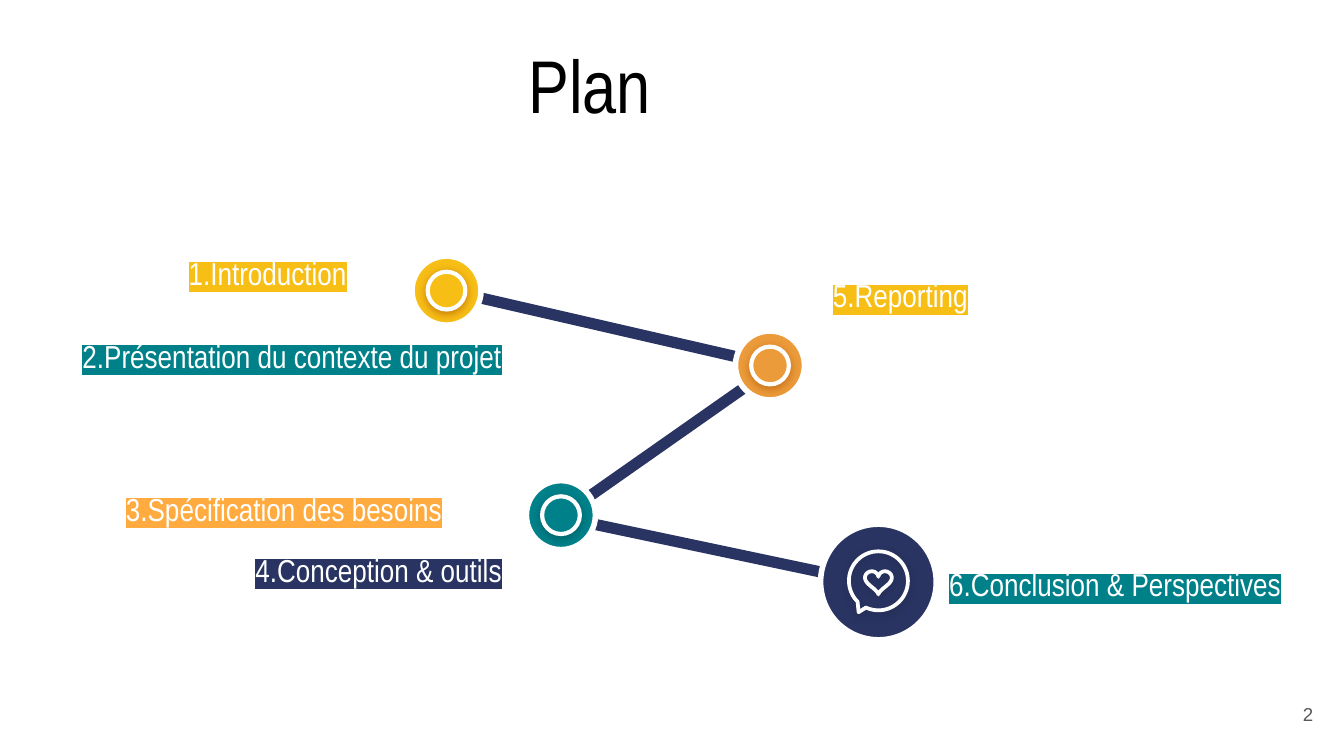
from dataclasses import dataclass
from math import cos, radians, sin

from lxml.etree import SubElement
from pptx import Presentation
from pptx.dml.color import RGBColor
from pptx.enum.shapes import MSO_SHAPE
from pptx.enum.text import MSO_ANCHOR, PP_ALIGN
from pptx.oxml.ns import qn
from pptx.util import Pt


@dataclass(frozen=True)
class Theme:
    white: str = "FFFFFF"
    black: str = "000000"
    grey: str = "595959"
    navy: str = "293462"
    teal: str = "00818A"
    dark_teal: str = "00565C"
    yellow: str = "F7BE16"
    orange: str = "EC9B3B"
    light_orange: str = "FFAB40"
    brown: str = "B45F06"
    heading_font: str = "Arial Narrow"
    number_font: str = "Arial"
    title_size: int = 40
    label_size: int = 17
    number_size: int = 10


def write_text(frame, text, *, font, size, color, align=PP_ALIGN.LEFT,
               anchor=MSO_ANCHOR.MIDDLE, highlight=None, spacing=None):
    frame.word_wrap = True
    frame.vertical_anchor = anchor
    frame.margin_left = frame.margin_right = Pt(7.2)
    frame.margin_top = frame.margin_bottom = Pt(7.2)
    paragraph = frame.paragraphs[0]
    paragraph.alignment = align
    if spacing:
        paragraph.line_spacing = spacing
    run = paragraph.add_run()
    run.text = text
    run.font.name = font
    run.font.size = Pt(size)
    run.font.color.rgb = RGBColor.from_string(color)
    if highlight:
        properties = run.font._element
        marker = SubElement(properties, qn("a:highlight"))
        SubElement(marker, qn("a:srgbClr"), val=highlight)
        properties.find(qn("a:solidFill")).addnext(marker)


class PlanSlide:
    def __init__(self, slide, theme):
        self.slide = slide
        self.theme = theme

    def text(self, text, left, top, width, height, **text_format):
        box = self.slide.shapes.add_textbox(Pt(left), Pt(top), Pt(width), Pt(height))
        write_text(box.text_frame, text, **text_format)

    def label(self, text, left, top, width, color, align):
        self.text(text, left, top, width, 24, font=self.theme.heading_font,
                  size=self.theme.label_size, color=self.theme.white,
                  highlight=color, align=align, spacing=0.8)

    def style(self, shape, line, weight, fill=None, shadow=None, opacity=66):
        shape.shadow.inherit = False
        if fill:
            shape.fill.solid()
            shape.fill.fore_color.rgb = RGBColor.from_string(fill)
        else:
            shape.fill.background()
        shape.line.color.rgb = RGBColor.from_string(line)
        shape.line.width = Pt(weight)
        if shadow:
            effects = shape._element.spPr.find(qn("a:effectLst"))
            outer = SubElement(effects, qn("a:outerShdw"), blurRad=str(Pt(4.5)),
                               dist=str(Pt(1.5)), dir="5400000",
                               algn="bl", rotWithShape="0")
            color = SubElement(outer, qn("a:srgbClr"), val=shadow)
            SubElement(color, qn("a:alpha"), val=str(opacity * 1000))

    def circle(self, center, diameter, fill, weight, shadow=None):
        left, top = (value - diameter / 2 for value in center)
        shape = self.slide.shapes.add_shape(
            MSO_SHAPE.OVAL, Pt(left), Pt(top), Pt(diameter), Pt(diameter))
        self.style(shape, self.theme.white, weight, fill, shadow)

    def node(self, center, fill, shadow):
        self.circle(center, 37, fill, 3)
        self.circle(center, 20.2, fill, 2.25, shadow)

    def outline(self, points, color, weight, close=False, **effects):
        start, *others = [(Pt(x), Pt(y)) for x, y in points]
        builder = self.slide.shapes.build_freeform(*start)
        builder.add_line_segments(others, close=close)
        self.style(builder.convert_to_shape(), color, weight, **effects)

    def heart_bubble(self, center):
        x, y = center
        bubble = [(x + 15.8 * cos(radians(a)), y + 15.8 * sin(radians(a)))
                  for a in range(135, 476, 5)]
        bubble.append((x - 10.6, y + 16.8))
        heart = []
        for angle in range(0, 360, 6):
            t = radians(angle)
            rise = 13 * cos(t) - 5 * cos(2 * t) - 2 * cos(3 * t) - cos(4 * t)
            heart.append((x + 7.2 * sin(t) ** 3, y - 0.43 * rise))
        for points in (bubble, heart):
            self.outline(points, self.theme.white, 2, close=True,
                         shadow=self.theme.black, opacity=17)


def main():
    theme = Theme()
    presentation = Presentation()
    presentation.slide_width = Pt(720)
    presentation.slide_height = Pt(405)
    slide = presentation.slides.add_slide(presentation.slide_layouts[6])
    plan = PlanSlide(slide, theme)

    plan.outline([(239.5, 155.5), (415.5, 196), (300, 277), (475.5, 314)],
                 theme.navy, 6)
    plan.text("Plan", 276, 13.7, 99.4, 58.3, font=theme.heading_font,
              size=theme.title_size, color=theme.black, anchor=MSO_ANCHOR.TOP)

    for center, fill, shadow in (
        ((239.2, 155.7), theme.yellow, theme.brown),
        ((412.5, 195.8), theme.orange, theme.brown),
        ((300.5, 276), theme.teal, theme.dark_teal),
    ):
        plan.node(center, fill, shadow)
    plan.circle((470.6, 311.8), 62, theme.navy, 3)
    plan.heart_bubble((470.6, 311.2))

    left, right = PP_ALIGN.LEFT, PP_ALIGN.RIGHT
    for label in (
        ("1.Introduction", 33.8, 136, 159, theme.yellow, right),
        ("2.Présentation du contexte du projet", -16.6, 180.5, 292.4, theme.teal, right),
        ("3.Spécification des besoins", 60.4, 262.5, 222, theme.light_orange, left),
        ("4.Conception & outils", 129.7, 295, 159, theme.navy, left),
        ("5.Reporting", 424, 148, 101.5, theme.yellow, right),
        ("6.Conclusion & Perspectives", 401, 302.8, 292.4, theme.teal, right),
    ):
        plan.label(*label)

    plan.text("2", 667.4, 367.2, 43.2, 31, font=theme.number_font,
              size=theme.number_size, color=theme.grey, align=right)
    presentation.save("out.pptx")


if __name__ == "__main__":
    main()
